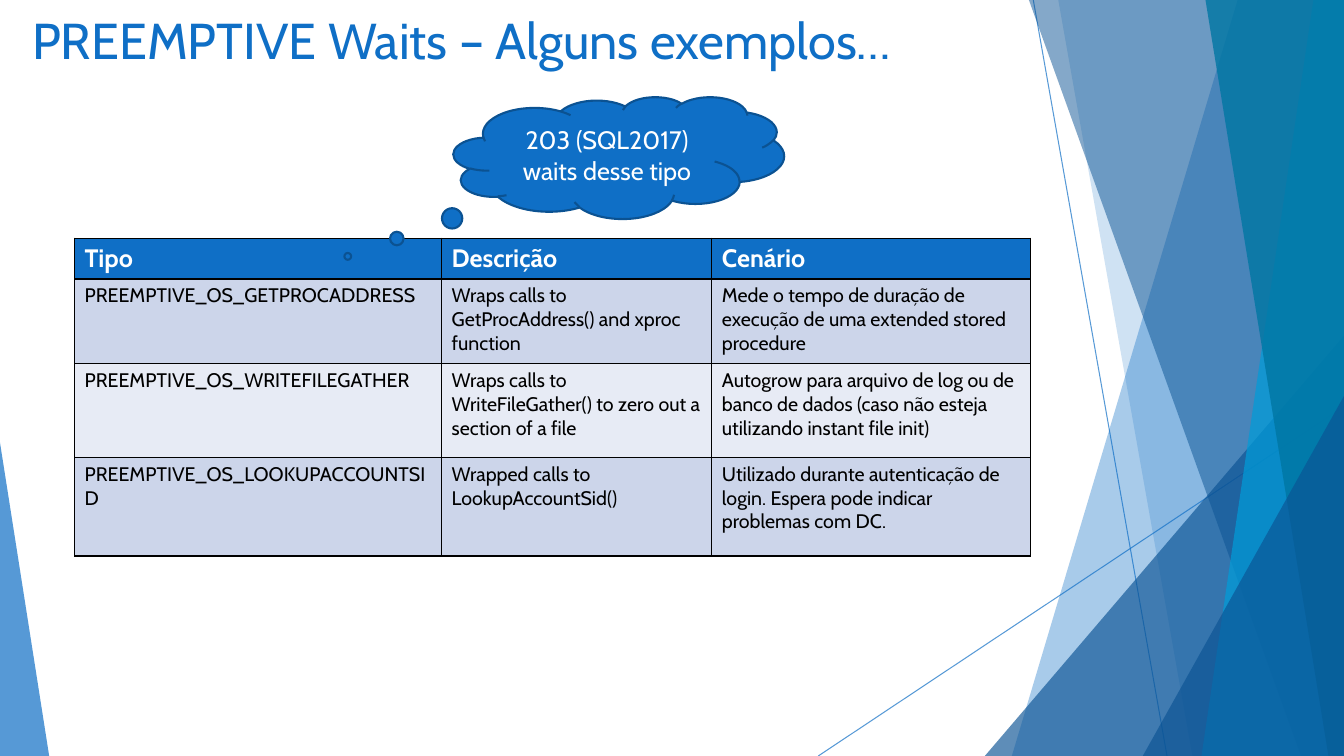
from lxml.etree import SubElement
from pptx import Presentation
from pptx.dml.color import RGBColor as Rgb
from pptx.enum.shapes import MSO_CONNECTOR as Link, MSO_SHAPE as Preset
from pptx.enum.text import MSO_ANCHOR as Anchor, PP_ALIGN as Align
from pptx.oxml.ns import qn
from pptx.util import Cm, Pt

COLORS = {
    "blue": "0F6FC6", "navy": "0B5394", "sky": "009DD9", "teal": "0076A3",
    "outline": "0B5292", "white": "FFFFFF", "black": "000000",
    "band": "CCD5EA", "pale": "E7EBF5",
}
FORMATS = {
    "title": {"size": Pt(36), "bold": False, "color": "blue"},
    "header": {"size": Pt(18), "bold": True, "color": "white"},
    "body": {"size": Pt(14), "bold": False, "color": "black"},
    "callout": {"size": Pt(18), "bold": False, "color": "white"},
}
WIDTH, HEIGHT = 33.87, 19.05


class WaitsSlide:
    def __init__(self, deck, font):
        self.font = font
        self.slide = deck.slides.add_slide(deck.slide_layouts[6])
        self.shapes = self.slide.shapes

    def rgb(self, color):
        return Rgb.from_string(COLORS[color])

    def set_text(self, frame, text, style):
        frame.word_wrap = True
        frame.text = text
        for paragraph in frame.paragraphs:
            for run in paragraph.runs:
                values = {"name": self.font, **FORMATS[style]}
                run.font.color.rgb = self.rgb(values.pop("color"))
                for key, value in values.items():
                    setattr(run.font, key, value)

    def fade(self, part, opacity):
        for color in part.element.spPr.iter(qn("a:srgbClr")):
            SubElement(color, qn("a:alpha"), val=str(opacity * 1000))

    def paint(self, part, color, opacity=None):
        part.shadow.inherit = False
        part.fill.solid()
        part.fill.fore_color.rgb = self.rgb(color)
        part.line.fill.background()
        if opacity:
            self.fade(part, opacity)

    def ray(self, start, end):
        ends = [Cm(value) for value in (*start, *end)]
        ray = self.shapes.add_connector(Link.STRAIGHT, *ends)
        ray.line.color.rgb = self.rgb("blue")
        ray.line.width = Pt(0.75)
        self.fade(ray, 70)
        SubElement(ray.element.spPr, qn("a:effectLst"))

    def facet(self, top, bottom, color, opacity):
        corners = [(top, 0), (WIDTH, 0), (WIDTH, HEIGHT), (bottom, HEIGHT)]
        points = [(Cm(x), Cm(y)) for x, y in corners]
        outline = self.shapes.build_freeform(*points[0], scale=1.0)
        outline.add_line_segments(points[1:], close=True)
        self.paint(outline.convert_to_shape(), color, opacity)

    def triangle(self, left, top, width, apex, color, opacity):
        box = [Cm(value) for value in (left, top, width, HEIGHT - top)]
        triangle = self.shapes.add_shape(Preset.ISOSCELES_TRIANGLE, *box)
        triangle.adjustments[0] = apex
        self.paint(triangle, color, opacity)

    def title(self, text, *box):
        title = self.shapes.add_textbox(*map(Cm, box))
        self.set_text(title.text_frame, text, "title")

    def border(self, cell):
        properties = cell._tc.get_or_add_tcPr()
        for side in ("lnL", "lnR", "lnT", "lnB"):
            edge = SubElement(properties, qn(f"a:{side}"), w=str(int(Pt(1))))
            fill = SubElement(edge, qn("a:solidFill"))
            SubElement(fill, qn("a:srgbClr"), val=COLORS["black"])

    def table(self, rows, left, top, widths, heights):
        box = [Cm(value) for value in (left, top, sum(widths), sum(heights))]
        table = self.shapes.add_table(len(rows), len(widths), *box).table
        for column, width in zip(table.columns, widths):
            column.width = Cm(width)
        for index, (texts, height) in enumerate(zip(rows, heights)):
            table.rows[index].height = Cm(height)
            fill = ("pale", "band")[index % 2] if index else "blue"
            for cell, text in zip(table.rows[index].cells, texts):
                self.set_text(cell.text_frame, text, "body" if index else "header")
                self.border(cell)
                cell.fill.solid()
                cell.fill.fore_color.rgb = self.rgb(fill)

    def callout(self, text, box, tail):
        cloud = self.shapes.add_shape(Preset.CLOUD_CALLOUT, *map(Cm, box))
        for index, value in enumerate(tail):
            cloud.adjustments[index] = value
        self.paint(cloud, "blue")
        cloud.line.color.rgb = self.rgb("outline")
        cloud.line.width = Pt(1.5)
        self.set_text(cloud.text_frame, text, "callout")
        cloud.text_frame.vertical_anchor = Anchor.MIDDLE
        cloud.text_frame.paragraphs[0].alignment = Align.CENTER


WAITS = [
    ("Tipo", "Descrição", "Cenário"),
    ("PREEMPTIVE_OS_GETPROCADDRESS",
     "Wraps calls to GetProcAddress() and xproc function",
     "Mede o tempo de duração de execução de uma extended stored procedure"),
    ("PREEMPTIVE_OS_WRITEFILEGATHER",
     "Wraps calls to WriteFileGather() to zero out a section of a file",
     "Autogrow para arquivo de log ou de banco de dados "
     "(caso não esteja utilizando instant file init)"),
    ("PREEMPTIVE_OS_LOOKUPACCOUNTSID",
     "Wrapped calls to \vLookupAccountSid()",
     "Utilizado durante autenticação de login. "
     "Espera pode indicar problemas com DC."),
]


def main():
    deck = Presentation()
    deck.slide_width, deck.slide_height = Cm(WIDTH), Cm(HEIGHT)
    waits = WaitsSlide(deck, "Cabin")

    waits.ray((26.04, 0), (29.41, HEIGHT))
    waits.ray((WIDTH, 10.24), (20.62, HEIGHT))
    waits.facet(31.19, 25.5, "blue", 36)
    waits.facet(26.67, 30.05, "blue", 20)
    waits.triangle(24.82, 8.46, 9.05, 1, "navy", 66)
    waits.facet(25.93, 32.79, "navy", 50)
    waits.facet(33.1, 30.28, "sky", 70)
    waits.facet(30.38, 33.48, "teal", 80)
    waits.triangle(28.8, 9.98, 5.07, 1, "navy", 66)
    waits.triangle(0, 11.15, 1.24, 0, "blue", 70)

    waits.title("PREEMPTIVE Waits – Alguns exemplos…", 0.56, 0.1, 24.08, 3.07)
    waits.table(WAITS, 1.88, 6, (9.25, 6.81, 8.03), (1.03, 2.13, 2.36, 2.49))
    waits.callout("203 (SQL2017) waits desse tipo",
                  (11.43, 2.44, 8.33, 3.07), (-0.82, 0.81))

    deck.save("out.pptx")


if __name__ == "__main__":
    main()
